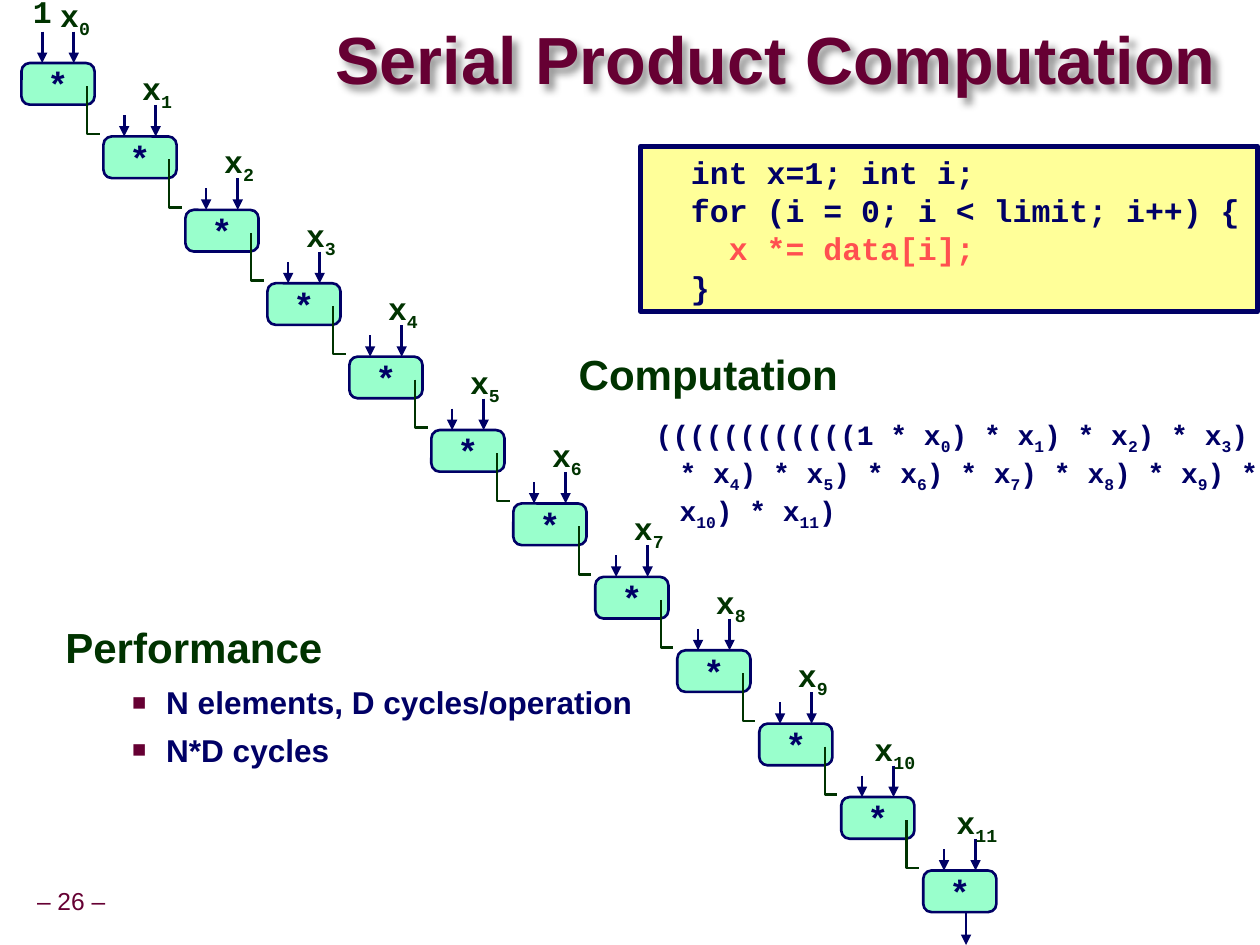
from lxml.etree import SubElement
from pptx import Presentation
from pptx.dml.color import RGBColor
from pptx.enum.shapes import MSO_CONNECTOR, MSO_SHAPE
from pptx.enum.text import MSO_ANCHOR, PP_ALIGN
from pptx.oxml.ns import qn
from pptx.util import Inches, Pt

WIDTH, HEIGHT = 9.99, 7.49
COLORS = {"maroon": "660033", "green": "003300", "navy": "000066",
          "mint": "99FFCC", "yellow": "FFFF99", "red": "FF5050", "black": "000000"}
STYLES = {
    "page": ("Arial", 14, False, "maroon"),
    "title": ("Arial", 38, True, "maroon"),
    "heading": ("Arial", 24, True, "green"),
    "bullet": ("Arial", 18, True, "navy"),
    "formula": ("Courier New", 16, True, "navy"),
    "input": ("Courier New", 18, True, "green"),
    "operator": ("Courier New", 20, True, "navy"),
    "code": ("Courier New", 18, True, "navy"),
    "update": ("Courier New", 18, True, "red"),
}
TITLE = "Serial Product Computation"
PAGE_NUMBER = "– 26 –"
CODE = [
    [("  int x=1; int i;", "code")],
    [("  for (i = 0; i < limit; i++) {", "code")],
    [("    ", "code"), ("x *= data[i];", "update")],
    [("  }", "code")],
]
PERFORMANCE = ["N elements, D cycles/operation", "N*D cycles"]
STAGES = 12
FIRST_BOX, LAST_BOX = (0.17, 0.5), (7.32, 6.9)
BOX_SIZE = (0.58, 0.33)
CARRY_X, INPUT_X = 0.165, 0.415
LONG_ARROW, SHORT_ARROW = 0.25, 0.17
LABEL_RISE, LABEL_HEIGHT = 0.58, 0.38

deck = Presentation()
deck.slide_width, deck.slide_height = Inches(WIDTH), Inches(HEIGHT)
page = deck.slides.add_slide(deck.slide_layouts[6])


def color(name):
    return RGBColor.from_string(COLORS[name])


def set_frame(shape, margins, anchor, wrap):
    frame = shape.text_frame
    sides = ("margin_left", "margin_top", "margin_right", "margin_bottom")
    settings = dict(zip(sides, map(Inches, margins)))
    settings.update(vertical_anchor=anchor, word_wrap=wrap)
    for name, value in settings.items():
        setattr(frame, name, value)
    return frame


def add_text(area, margins=(0.05,) * 4, anchor=MSO_ANCHOR.TOP, wrap=False):
    box = page.shapes.add_textbox(*map(Inches, area))
    set_frame(box, margins, anchor, wrap)
    return box


def write(frame, spans, first=True, indent=None, **settings):
    para = frame.paragraphs[0] if first else frame.add_paragraph()
    for name, value in settings.items():
        setattr(para, name, value)
    if indent:
        properties = para._p.get_or_add_pPr()
        for name, value in zip(("marL", "indent"), indent):
            properties.set(name, str(Inches(value)))
    for text, style, *subscript in spans:
        span = para.add_run()
        span.text = text
        face, size, bold, tint = STYLES[style]
        for name, value in {"name": face, "size": Pt(size), "bold": bold}.items():
            setattr(span.font, name, value)
        span.font.color.rgb = color(tint)
        if subscript:
            span._r.get_or_add_rPr().set("baseline", "-25000")
    return para


def add_bullet(para):
    properties = para._p.get_or_add_pPr()
    tint = SubElement(properties, qn("a:buClr"))
    SubElement(tint, qn("a:srgbClr"), val=COLORS["maroon"])
    SubElement(properties, qn("a:buSzPct"), val="75000")
    SubElement(properties, qn("a:buFont"), typeface="Arial")
    SubElement(properties, qn("a:buChar"), char="■")


def outline(shape, tint, width=1.5):
    shape.line.color.rgb = color(tint)
    shape.line.width = Pt(width)


def add_panel(kind, area, fill, width):
    panel = page.shapes.add_shape(kind, *map(Inches, area))
    panel.shadow.inherit = False
    panel.fill.solid()
    panel.fill.fore_color.rgb = color(fill)
    outline(panel, "navy", width)
    return panel


def add_arrow(x, top, bottom):
    points = map(Inches, (x, top, x, bottom))
    arrow = page.shapes.add_connector(MSO_CONNECTOR.STRAIGHT, *points)
    outline(arrow, "navy")
    SubElement(arrow.line._get_or_add_ln(), qn("a:tailEnd"), type="triangle")
    SubElement(arrow._element.spPr, qn("a:effectLst"))


def add_label(center, top, spans, width):
    label = add_text((center - width / 2, top, width, LABEL_HEIGHT))
    write(label.text_frame, spans, alignment=PP_ALIGN.CENTER, line_spacing=0.9)


def add_elbow(x, y):
    start = page.shapes.build_freeform(Inches(x), Inches(y))
    corner, end = (x, y + 0.38), (x + 0.1, y + 0.38)
    start.add_line_segments([tuple(map(Inches, point)) for point in (corner, end)], close=False)
    elbow = start.convert_to_shape()
    elbow.shadow.inherit = False
    elbow.fill.background()
    outline(elbow, "green")


def add_stage(number):
    left, top = (first + (last - first) * number / (STAGES - 1)
                 for first, last in zip(FIRST_BOX, LAST_BOX))
    box = add_panel(MSO_SHAPE.ROUNDED_RECTANGLE, (left, top, *BOX_SIZE), "mint", 1.5)
    box.adjustments[0] = 0.2
    frame = set_frame(box, (0.1, 0.05, 0.1, 0.05), MSO_ANCHOR.MIDDLE, False)
    write(frame, [("*", "operator")], alignment=PP_ALIGN.CENTER)
    add_arrow(left + CARRY_X, top - (SHORT_ARROW if number else LONG_ARROW), top)
    add_arrow(left + INPUT_X, top - LONG_ARROW, top)
    label_top = top - LABEL_RISE
    if number:
        add_elbow(left - 0.13, top - 0.4)
    else:
        add_label(left + CARRY_X, label_top, [("1", "input")], 0.25)
    add_label(left + INPUT_X + 0.01, label_top, [("x", "input"), (str(number), "input", True)],
              0.35 if number < 10 else 0.45)


number_box = add_text((0.23, 6.99, 0.67, 0.32), anchor=MSO_ANCHOR.MIDDLE)
write(number_box.text_frame, [(PAGE_NUMBER, "page")], alignment=PP_ALIGN.CENTER, line_spacing=0.9)

title_box = add_text((2.66, 0.08, 7.3, 0.85), (0,) * 4, MSO_ANCHOR.MIDDLE, True)
write(title_box.text_frame, [(TITLE, "title")], line_spacing=0.87)
effects = SubElement(title_box._element.spPr, qn("a:effectLst"))
shadow = SubElement(effects, qn("a:outerShdw"), blurRad="50800", dist="50800", dir="2700000")
shade = SubElement(shadow, qn("a:srgbClr"), val=COLORS["black"])
SubElement(shade, qn("a:alpha"), val="40000")

formula = [("(" * STAGES + "1", "formula")]
for index in range(STAGES):
    formula += [(" * x", "formula"), (str(index), "formula", True), (")", "formula")]

for heading, area in (("Computation", (4.49, 2.74, 5.66, 2.33)),
                      ("Performance", (0.42, 4.91, 5.66, 2.33))):
    body = add_text(area, (0.1, 0.05, 0.1, 0.05), wrap=True).text_frame
    write(body, [(heading, "heading")], line_spacing=0.95)
    if heading == "Computation":
        write(body, formula, False, (0.8, -0.19), space_before=Pt(10), line_spacing=Pt(21.7))
    else:
        for line in PERFORMANCE:
            add_bullet(write(body, [(line, "bullet")], False, (0.8, -0.27), space_before=Pt(5.5)))

for stage in range(STAGES):
    add_stage(stage)
add_arrow(LAST_BOX[0] + 0.34, LAST_BOX[1] + BOX_SIZE[1], HEIGHT)

code_box = add_panel(MSO_SHAPE.RECTANGLE, (5.08, 1.16, 4.89, 1.31), "yellow", 3)
code_frame = set_frame(code_box, (0.1, 0.05, 0.1, 0.05), MSO_ANCHOR.TOP, False)
for row, spans in enumerate(CODE):
    write(code_frame, spans, row == 0, alignment=PP_ALIGN.LEFT, line_spacing=Pt(21.8))

deck.save("out.pptx")
